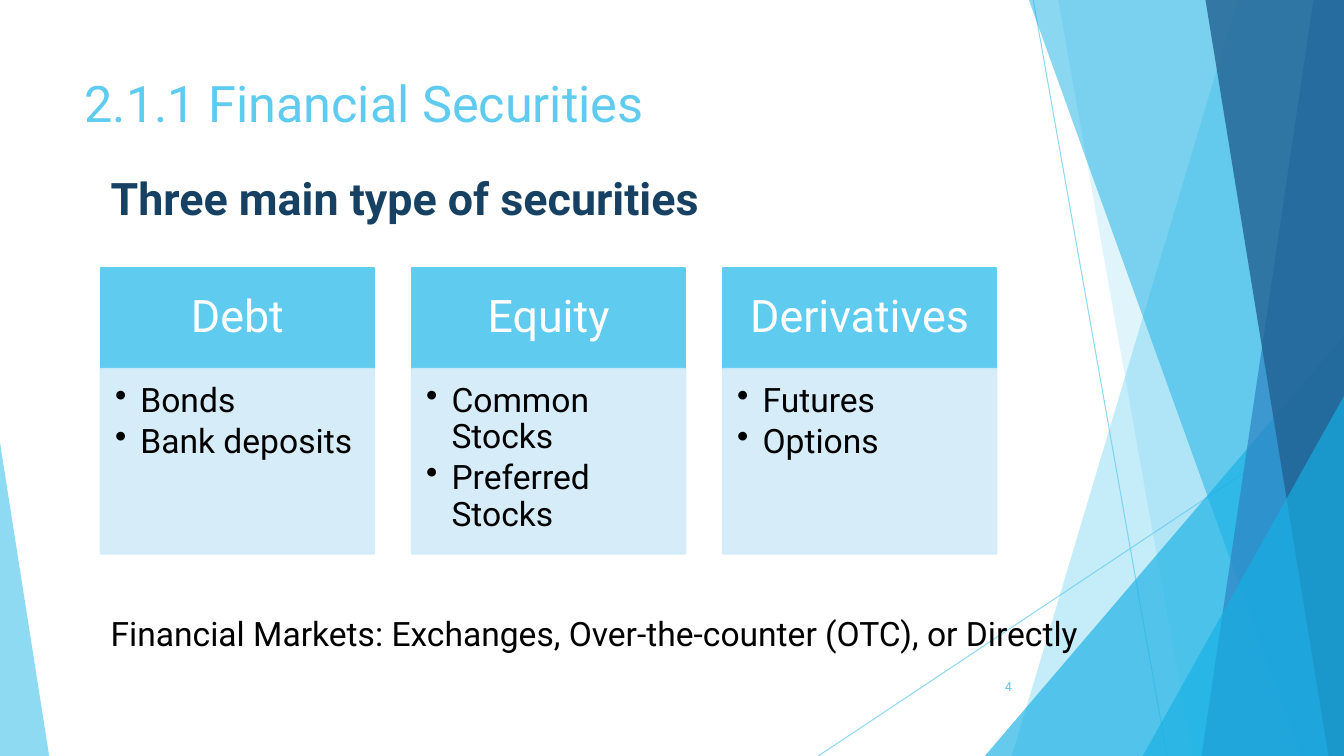
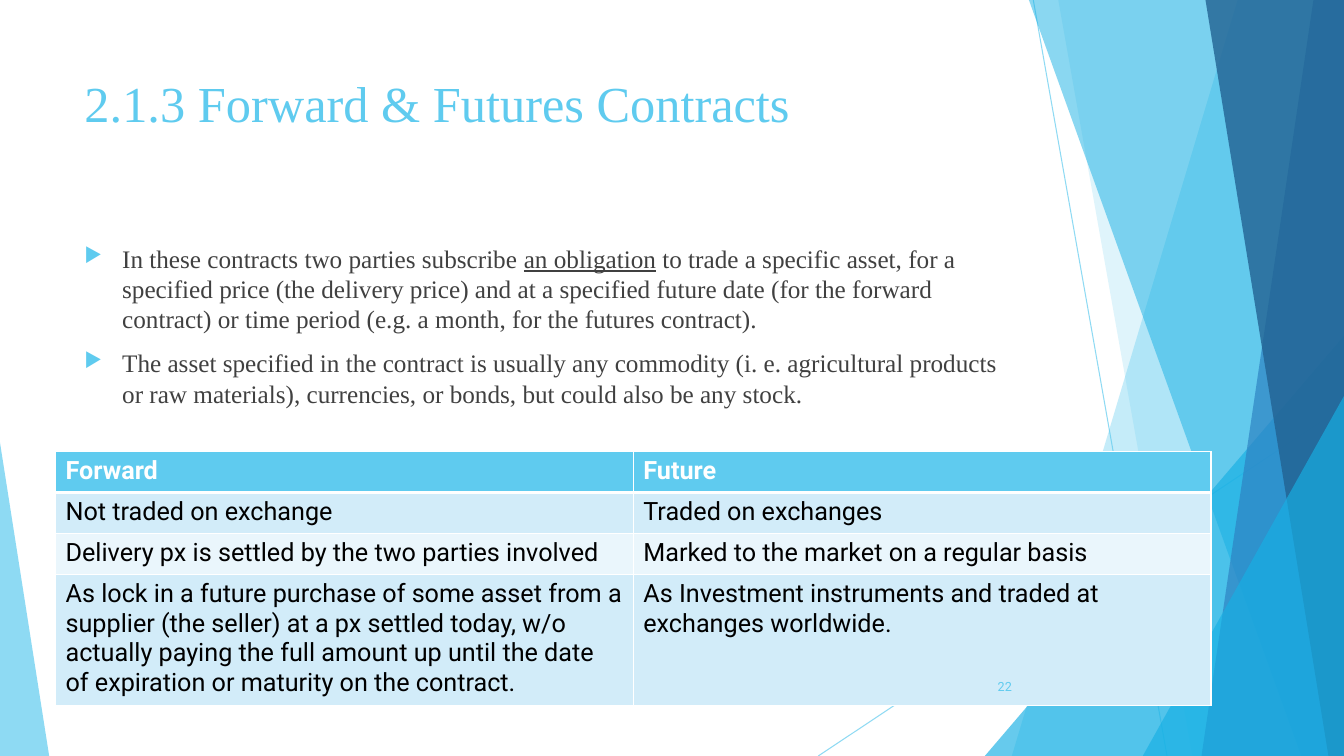
from lxml import etree
from pptx import Presentation
from pptx.dml.color import RGBColor
from pptx.enum.shapes import MSO_CONNECTOR, MSO_SHAPE
from pptx.enum.text import MSO_ANCHOR, PP_ALIGN
from pptx.oxml.ns import qn
from pptx.util import Cm, Pt

RECTANGLE, TRIANGLE = MSO_SHAPE.RECTANGLE, MSO_SHAPE.ISOSCELES_TRIANGLE
STRAIGHT = MSO_CONNECTOR.STRAIGHT
TOP, MIDDLE = MSO_ANCHOR.TOP, MSO_ANCHOR.MIDDLE
LEFT, CENTER, RIGHT = PP_ALIGN.LEFT, PP_ALIGN.CENTER, PP_ALIGN.RIGHT

SKY = RGBColor(0x5F, 0xCB, 0xEF)
CYAN = RGBColor(0x17, 0xB0, 0xE4)
BLUE = RGBColor(0x2E, 0x83, 0xC3)
DEEP = RGBColor(0x22, 0x62, 0x92)
NAVY = RGBColor(0x17, 0x41, 0x62)
PALE = RGBColor(0xD2, 0xEC, 0xF9)
PALER = RGBColor(0xEA, 0xF6, 0xFC)
GREY = RGBColor(0x40, 0x40, 0x40)
BLACK = RGBColor(0, 0, 0)
WHITE = RGBColor(0xFF, 0xFF, 0xFF)

SANS, SERIF = "Roboto", "Times New Roman"
WIDTH, HEIGHT = 33.87, 19.05  # all plain lengths are centimetres

# Content
SECURITIES = {
    "title": "2.1.1 Financial Securities",
    "number": "4",
    "heading": "Three main type of securities",
    "cards": [
        ("Debt", ["Bonds", "Bank deposits"]),
        ("Equity", ["Common Stocks", "Preferred Stocks"]),
        ("Derivatives", ["Futures", "Options"]),
    ],
    "markets": "Financial Markets: Exchanges, Over-the-counter (OTC), or Directly",
}
CONTRACTS = {
    "title": "2.1.3 Forward & Futures Contracts",
    "number": "22",
    # each point is a list of (text, underlined) runs
    "points": [
        [("In these contracts two parties subscribe ", False),
         ("an obligation", True),
         (" to trade a specific asset, for a specified price (the delivery price) "
          "and at a specified future date (for the forward contract) or time period "
          "(e.g. a month, for the futures contract).", False)],
        [("The asset specified in the contract is usually any commodity (i. e. "
          "agricultural products or raw materials), currencies, or bonds, but could "
          "also be any stock.", False)],
    ],
    "comparison": [
        (["Forward"], ["Future"]),
        (["Not traded on exchange"], ["Traded on exchanges"]),
        (["Delivery px is settled by the two parties involved"],
         ["Marked to the market on a regular basis"]),
        (["As lock in a future purchase of some asset from a supplier (the seller) at "
          "a px settled today, w/o actually paying the full amount up until the date "
          "of expiration or maturity on the contract."],
         ["As Investment instruments and traded at", "exchanges worldwide."]),
    ],
}

# Decoration, back to front
RAYS = [((26.04, 0), (29.41, HEIGHT)), ((WIDTH, 10.24), (20.62, HEIGHT))]
# band: top x, bottom x, colour, opacity; its right side is the slide edge
# wedge: left, top, width, apex (0 left, 1 right), colour, opacity
FACETS = [
    ("band", 31.19, 25.5, SKY, 36),
    ("band", 26.67, 30.05, SKY, 20),
    ("wedge", 24.82, 8.46, 9.05, 1, CYAN, 66),
    ("band", 25.93, 32.79, CYAN, 50),
    ("band", 33.1, 30.28, BLUE, 70),
    ("band", 30.38, 33.48, DEEP, 80),
    ("wedge", 28.8, 9.98, 5.07, 1, CYAN, 66),
    ("wedge", 0, 11.15, 1.24, 0, SKY, 70),
]

# Layout of the content
CARD_LEFT, CARD_TOP, CARD_WIDTH, CARD_PITCH = 2.54, 6.75, 6.89, 7.84
HEAD_HEIGHT, BODY_HEIGHT = 2.55, 4.65
COLUMN_WIDTH = 14.56
ROW_HEIGHTS = [1.03, 1.03, 1.03, 3.28]
ROW_FILLS = [SKY, PALE, PALER, PALE]


def cm(*lengths):
    return [Cm(length) for length in lengths]


def fade(shape, opacity):
    for color in shape._element.spPr.iter(qn("a:srgbClr")):
        etree.SubElement(color, qn("a:alpha"), val=str(opacity * 1000))


def paint(shape, fill, opacity=100, outlined=False):
    shape.shadow.inherit = False
    shape.fill.solid()
    shape.fill.fore_color.rgb = fill
    if outlined:
        shape.line.color.rgb = fill
        shape.line.width = Pt(1.5)
    else:
        shape.line.fill.background()
    if opacity < 100:
        fade(shape, opacity)
    return shape


def write(frame, paragraphs, size, color, font=SANS, bold=False, align=LEFT):
    """Each paragraph is a list of (text, underlined) runs or a plain string."""
    for index, runs in enumerate(paragraphs):
        paragraph = frame.paragraphs[0] if index == 0 else frame.add_paragraph()
        paragraph.alignment = align
        for text, underlined in [(runs, False)] if isinstance(runs, str) else runs:
            run = paragraph.add_run()
            run.text = text
            run.font.name, run.font.size = font, Pt(size)
            run.font.bold, run.font.underline = bold, underlined
            run.font.color.rgb = color


def add_text(slide, box, paragraphs, size, color, wrap=True, anchor=TOP, **style):
    frame = slide.shapes.add_textbox(*cm(*box)).text_frame
    frame.word_wrap = wrap
    frame.vertical_anchor = anchor
    write(frame, paragraphs, size, color, **style)
    return frame


def set_bullet(paragraph, symbol, indent, color=None, percent=100):
    properties = paragraph._p.get_or_add_pPr()
    properties.set("marL", str(Cm(indent)))
    properties.set("indent", str(-Cm(indent)))
    if color is not None:
        holder = etree.SubElement(properties, qn("a:buClr"))
        etree.SubElement(holder, qn("a:srgbClr"), val=str(color))
    etree.SubElement(properties, qn("a:buSzPct"), val=str(percent * 1000))
    etree.SubElement(properties, qn("a:buChar"), char=symbol)


def set_borders(cell, **widths):
    properties = cell._tc.get_or_add_tcPr()
    for side in "LRTB":
        line = etree.SubElement(properties, qn("a:ln" + side),
                                w=str(Pt(widths.get(side, 1))))
        fill = etree.SubElement(line, qn("a:solidFill"))
        etree.SubElement(fill, qn("a:srgbClr"), val=str(WHITE))


def add_band(slide, top_x, bottom_x, color, opacity):
    builder = slide.shapes.build_freeform(*cm(top_x, 0))
    corners = [(WIDTH, 0), (WIDTH, HEIGHT), (bottom_x, HEIGHT)]
    builder.add_line_segments([cm(*corner) for corner in corners])
    paint(builder.convert_to_shape(), color, opacity)


def add_wedge(slide, left, top, width, apex, color, opacity):
    wedge = slide.shapes.add_shape(TRIANGLE, *cm(left, top, width, HEIGHT - top))
    wedge.adjustments[0] = apex
    paint(wedge, color, opacity)


def start_slide(deck, content, title_font):
    """Blank slide with the shared decoration and title."""
    slide = deck.slides.add_slide(deck.slide_layouts[6])
    for start, end in RAYS:
        ray = slide.shapes.add_connector(STRAIGHT, *cm(*start, *end))
        ray.line.color.rgb = SKY
        ray.line.width = Pt(0.75)
        fade(ray, 70)
        etree.SubElement(ray._element.spPr, qn("a:effectLst"))
    for kind, *facet in FACETS:
        (add_band if kind == "band" else add_wedge)(slide, *facet)
    add_text(slide, (1.88, 1.7, 23.88, 3.66), [content["title"]], 36, SKY,
             font=title_font)
    return slide


def add_number(slide, content):
    add_text(slide, (23.85, 16.79, 1.9, 1.02), [content["number"]], 9, SKY,
             anchor=MIDDLE, align=RIGHT)


def add_card_part(slide, box, fill, opacity, margins, anchor):
    part = paint(slide.shapes.add_shape(RECTANGLE, *cm(*box)), fill, opacity, True)
    frame = part.text_frame
    frame.word_wrap = True
    frame.vertical_anchor = anchor
    (frame.margin_left, frame.margin_top,
     frame.margin_right, frame.margin_bottom) = cm(*margins)
    return frame


def build_securities(deck):
    slide = start_slide(deck, SECURITIES, SANS)
    # Cards
    for index, (kind, examples) in enumerate(SECURITIES["cards"]):
        left = CARD_LEFT + index * CARD_PITCH
        head = add_card_part(slide, (left, CARD_TOP, CARD_WIDTH, HEAD_HEIGHT),
                             SKY, 100, (0.64, 0.36, 0.64, 0.36), MIDDLE)
        write(head, [kind], 32, WHITE, align=CENTER)
        head.paragraphs[0].line_spacing = 0.9
        body = add_card_part(
            slide, (left, CARD_TOP + HEAD_HEIGHT, CARD_WIDTH, BODY_HEIGHT),
            PALE, 90, (0.36, 0.36, 0.48, 0.53), TOP)
        write(body, examples, 24, BLACK)
        for paragraph in body.paragraphs:
            paragraph.line_spacing = 0.9
            paragraph.space_after = Pt(3.5)
            set_bullet(paragraph, "•", 0.64)
    # Heading and closing line
    add_text(slide, (2.54, 15.32, 26.04, 1.27), [SECURITIES["markets"]], 24, BLACK,
             wrap=False)
    add_text(slide, (2.54, 4.17, 16.26, 1.63), [SECURITIES["heading"]], 32, NAVY,
             wrap=False, bold=True)
    add_number(slide, SECURITIES)


def build_contracts(deck):
    slide = start_slide(deck, CONTRACTS, SERIF)
    # Bullet points
    points = add_text(slide, (1.88, 6, 23.88, 10.77), CONTRACTS["points"], 18, GREY,
                      font=SERIF)
    for paragraph in points.paragraphs:
        paragraph.space_before = Pt(10)
        set_bullet(paragraph, "▶", 0.95, SKY, 80)
    # Comparison table
    rows = CONTRACTS["comparison"]
    table = slide.shapes.add_table(
        len(rows), 2, *cm(1.4, 11.38, 2 * COLUMN_WIDTH, sum(ROW_HEIGHTS))).table
    for column in table.columns:
        column.width = Cm(COLUMN_WIDTH)
    for r, (texts, height, fill) in enumerate(zip(rows, ROW_HEIGHTS, ROW_FILLS)):
        table.rows[r].height = Cm(height)
        is_header = r == 0
        for c, paragraphs in enumerate(texts):
            cell = table.cell(r, c)
            set_borders(cell, B=3 if is_header else 1, T=3 if r == 1 else 1)
            cell.fill.solid()
            cell.fill.fore_color.rgb = fill
            write(cell.text_frame, paragraphs, 18, WHITE if is_header else BLACK,
                  bold=is_header)
    add_number(slide, CONTRACTS)


def main():
    deck = Presentation()
    deck.slide_width, deck.slide_height = cm(WIDTH, HEIGHT)
    build_securities(deck)
    build_contracts(deck)
    deck.save("out.pptx")


if __name__ == "__main__":
    main()
